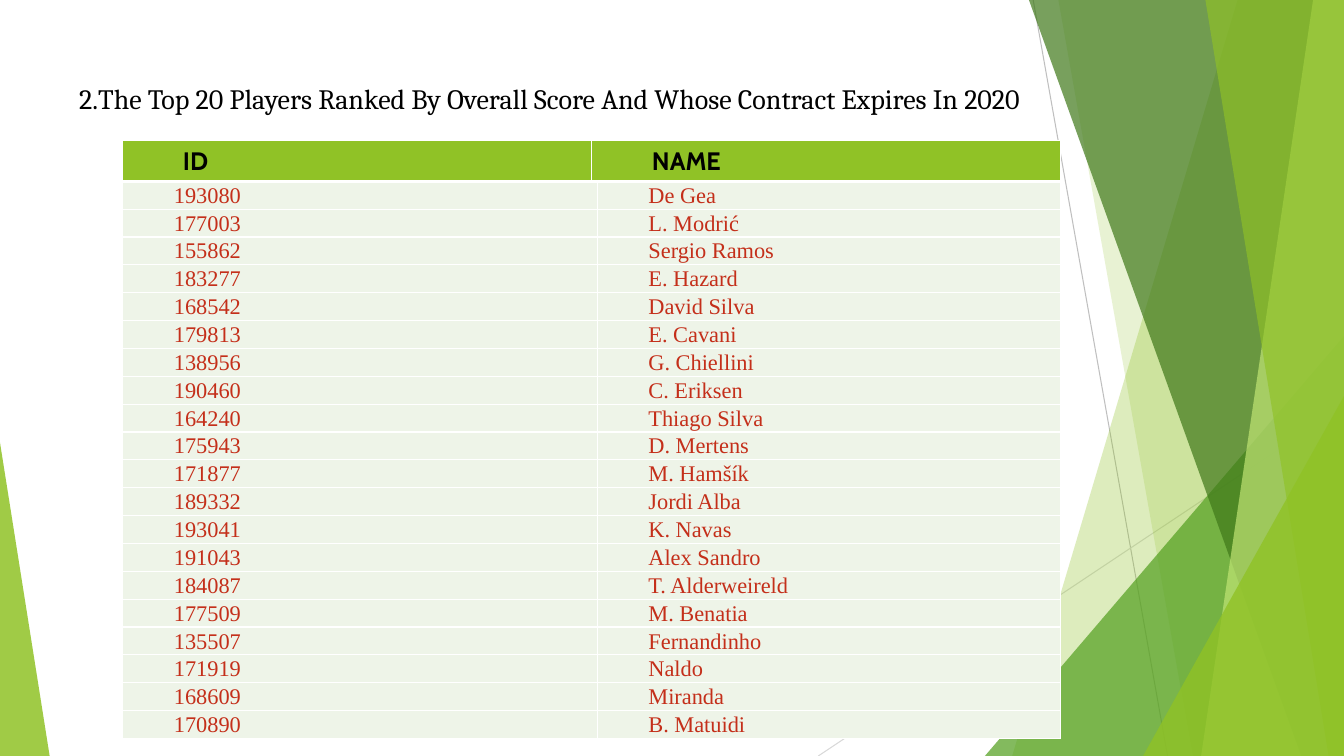
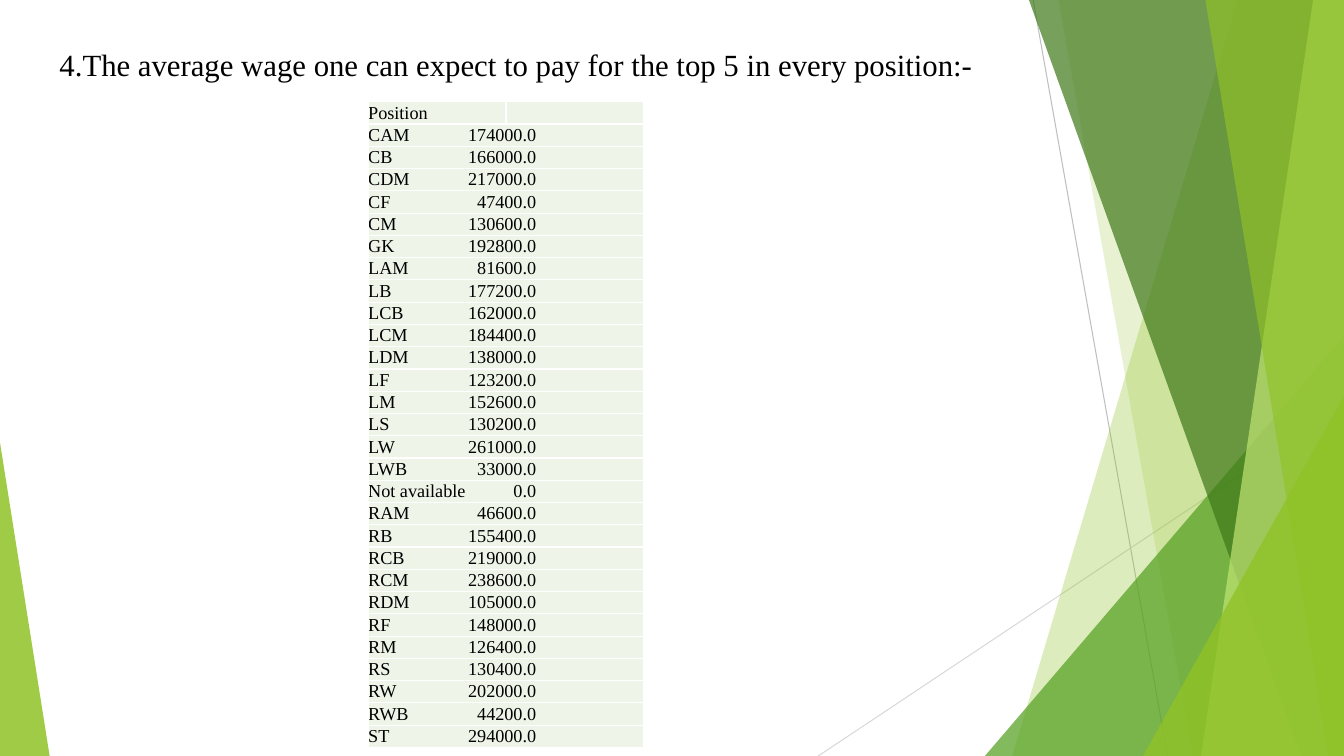
"""Build two slides of football player tables on a green faceted backdrop."""
import dataclasses

import lxml.etree
import pptx
import pptx.dml.color
import pptx.enum.shapes
import pptx.enum.text
import pptx.oxml.ns
import pptx.util

Pt = pptx.util.Pt
Shape = pptx.enum.shapes.MSO_SHAPE
Anchor = pptx.enum.text.MSO_ANCHOR


@dataclasses.dataclass(frozen=True)
class Theme:
    """Colours, fonts and sizes shared by the slides."""
    width: int = 960
    height: int = 540
    white: str = "FFFFFF"
    black: str = "000000"
    red: str = "C42F1A"
    lime: str = "90C226"
    green: str = "54A021"
    forest: str = "3F7819"
    pale_lime: str = "C0E474"
    cell: str = "EEF4E8"
    grey: str = "BFBFBF"
    pale_grey: str = "D9D9D9"
    serif: str = "Times New Roman"
    heading: str = "Cambria"
    label: str = "Cabin"
    title_size: int = 20
    large_title_size: int = 22
    header_size: int = 18
    player_size: int = 16
    wage_size: int = 13


def colour(value):
    """Return the colour object of a hexadecimal value."""
    return pptx.dml.color.RGBColor.from_string(value)


def append(parent, tag, **attributes):
    """Append a drawing element with attributes and return it."""
    element = lxml.etree.SubElement(parent, pptx.oxml.ns.qn(tag))
    for name, value in attributes.items():
        element.set(name, str(value))
    return element


def write(frame, text, *, font, size, ink, bold=False, margins=None, anchor=Anchor.TOP, tab=None):
    """Put one formatted paragraph into a text frame or a table cell."""
    if margins is not None:
        frame.margin_left, frame.margin_top, frame.margin_right, frame.margin_bottom = map(Pt, margins)
    frame.vertical_anchor = anchor
    paragraph = getattr(frame, "text_frame", frame).paragraphs[0]
    paragraph.alignment = pptx.enum.text.PP_ALIGN.LEFT
    if tab:
        stops = append(paragraph._p.get_or_add_pPr(), "a:tabLst")
        append(stops, "a:tab", pos=Pt(tab), algn="r")
    if not text:
        append(paragraph._p, "a:endParaRPr", sz=size * 100)
        return
    run = paragraph.add_run()
    run.text = text
    run.font.name, run.font.size, run.font.bold = font, Pt(size), bold
    run.font.color.rgb = colour(ink)


class Deck:
    """Hold the style and the current slide."""

    def __init__(self, theme):
        """Start an empty presentation."""
        self.theme = theme
        self.presentation = pptx.Presentation()
        self.presentation.slide_width = Pt(theme.width)
        self.presentation.slide_height = Pt(theme.height)

    def add_slide(self):
        """Start a blank slide with the shared backdrop."""
        self.slide = self.presentation.slides.add_slide(self.presentation.slide_layouts[6])
        self.backdrop()

    def paint(self, shape, fill, opacity=100):
        """Give a shape a flat fill without line or shadow."""
        shape.shadow.inherit = False
        shape.fill.solid()
        shape.fill.fore_color.rgb = colour(fill)
        shape.line.fill.background()
        if opacity < 100:
            tint = shape.element.spPr.find(".//" + pptx.oxml.ns.qn("a:srgbClr"))
            append(tint, "a:alpha", val=opacity * 1000)

    def line(self, start, end, ink):
        """Draw a thin straight line."""
        connector = self.slide.shapes.add_connector(
            pptx.enum.shapes.MSO_CONNECTOR.STRAIGHT, *map(Pt, start + end))
        connector.line.color.rgb = colour(ink)
        connector.line.width = Pt(0.75)
        append(connector.element.spPr, "a:effectLst")

    def pane(self, top, bottom, fill, opacity):
        """Draw a pane from a slanted left edge to the right slide edge."""
        width, height = self.theme.width, self.theme.height
        builder = self.slide.shapes.build_freeform(Pt(top), 0)
        corners = [(width, 0), (width, height), (bottom, height)]
        builder.add_line_segments([(Pt(x), Pt(y)) for x, y in corners])
        self.paint(builder.convert_to_shape(), fill, opacity)

    def preset(self, kind, box, fill, opacity=100):
        """Draw a preset shape and return it."""
        shape = self.slide.shapes.add_shape(kind, *map(Pt, box))
        self.paint(shape, fill, opacity)
        return shape

    def triangle(self, left, top, width, apex, fill, opacity):
        """Draw a right triangle standing on the bottom slide edge."""
        box = left, top, width, self.theme.height - top
        self.preset(Shape.ISOSCELES_TRIANGLE, box, fill, opacity).adjustments[0] = apex

    def backdrop(self):
        """Draw the facets behind every slide."""
        theme = self.theme
        self.line((738, 0), (834, 540), theme.grey)
        self.line((960, 290), (584.5, 540), theme.pale_grey)
        self.pane(884, 723, theme.lime, 30)
        self.pane(756, 852, theme.lime, 20)
        self.triangle(703.5, 240, 256.5, 1, theme.green, 72)
        self.pane(735, 929.5, theme.forest, 70)
        self.pane(938, 858, theme.pale_lime, 70)
        self.pane(861, 949, theme.lime, 65)
        self.triangle(816.5, 283, 143.5, 1, theme.lime, 80)
        self.triangle(0, 316, 35.5, 0, theme.lime, 85)

    def title(self, text, box):
        """Add a title in a plain text box."""
        frame = self.slide.shapes.add_textbox(*map(Pt, box)).text_frame
        frame.word_wrap = True
        write(frame, text, font=self.theme.heading, size=self.theme.title_size, ink=self.theme.black)

    def plate_title(self, text, box):
        """Add a title on a white plate."""
        frame = self.preset(Shape.RECTANGLE, box, self.theme.white).text_frame
        frame.word_wrap = True
        write(frame, text, font=self.theme.serif, size=self.theme.large_title_size,
              ink=self.theme.black, margins=(0, 0, 0, 0), anchor=Anchor.MIDDLE)

    def table(self, rows, left, top, widths, row_height, fill, rule=1, **text_format):
        """Add a table; a row with a single entry spans all columns."""
        table = self.slide.shapes.add_table(
            len(rows), len(widths), Pt(left), Pt(top), Pt(sum(widths)), Pt(row_height * len(rows))).table
        table.first_row = table.horz_banding = False
        for column, width in zip(table.columns, widths):
            column.width = Pt(width)
        for index, entries in enumerate(rows):
            table.rows[index].height = Pt(row_height)
            for position in range(len(widths)):
                cell = table.cell(index, position)
                self.cell_style(cell, fill, rule)
                text = entries[position] if position < len(entries) else ""
                write(cell, text, **text_format)
            if len(entries) < len(widths):
                table.cell(index, 0).merge(table.cell(index, len(widths) - 1))

    def cell_style(self, cell, fill, rule):
        """Give a cell white borders and a fill."""
        properties = cell._tc.get_or_add_tcPr()
        for side, width in (("L", 1), ("R", 1), ("T", 1), ("B", rule)):
            border = append(properties, "a:ln" + side, w=Pt(width))
            append(append(border, "a:solidFill"), "a:srgbClr", val=self.theme.white)
        cell.fill.solid()
        cell.fill.fore_color.rgb = colour(fill)


PLAYERS = [
    ("193080", "De Gea"), ("177003", "L. Modrić"), ("155862", "Sergio Ramos"),
    ("183277", "E. Hazard"), ("168542", "David Silva"), ("179813", "E. Cavani"),
    ("138956", "G. Chiellini"), ("190460", "C. Eriksen"), ("164240", "Thiago Silva"),
    ("175943", "D. Mertens"), ("171877", "M. Hamšík"), ("189332", "Jordi Alba"),
    ("193041", "K. Navas"), ("191043", "Alex Sandro"), ("184087", "T. Alderweireld"),
    ("177509", "M. Benatia"), ("135507", "Fernandinho"), ("171919", "Naldo"),
    ("168609", "Miranda"), ("170890", "B. Matuidi"),
]
WAGES = {
    "CAM": 174000, "CB": 166000, "CDM": 217000, "CF": 47400, "CM": 130600, "GK": 192800,
    "LAM": 81600, "LB": 177200, "LCB": 162000, "LCM": 184400, "LDM": 138000, "LF": 123200,
    "LM": 152600, "LS": 130200, "LW": 261000, "LWB": 33000, "Not available": 0, "RAM": 46600,
    "RB": 155400, "RCB": 219000, "RCM": 238600, "RDM": 105000, "RF": 148000, "RM": 126400,
    "RS": 130400, "RW": 202000, "RWB": 44200, "ST": 294000,
}


def main():
    """Build and save both slides."""
    theme = Theme()
    deck = Deck(theme)

    deck.add_slide()
    deck.title("2.The Top 20 Players Ranked By Overall Score And Whose Contract Expires In 2020",
               (49.5, 54.5, 729, 31.5))
    deck.table(PLAYERS, 87.5, 129.5, (339, 331), 19.7, theme.cell, font=theme.serif,
               size=theme.player_size, ink=theme.red, margins=(36.7, 0.7, 0.7, 0), anchor=Anchor.MIDDLE)
    deck.table([("ID", "NAME")], 87.5, 100.5, (335, 335), 29.2, theme.lime, rule=3, font=theme.label,
               size=theme.header_size, ink=theme.black, bold=True, margins=(43.2, 3.6, 7.2, 3.6))

    deck.add_slide()
    deck.plate_title("4.The average wage one can expect to pay for the top 5 in every position:-",
                     (42.5, 32.5, 689, 26.5))
    wage_rows = [("Position", "")] + [(f"{position}\t{wage:.1f}",) for position, wage in WAGES.items()]
    deck.table(wage_rows, 263, 72.7, (98.5, 98.5), 15.92, theme.cell, font=theme.serif,
               size=theme.wage_size, ink=theme.black, margins=(0, 0, 0, 0), anchor=Anchor.MIDDLE, tab=120)

    deck.presentation.save("out.pptx")


main()
